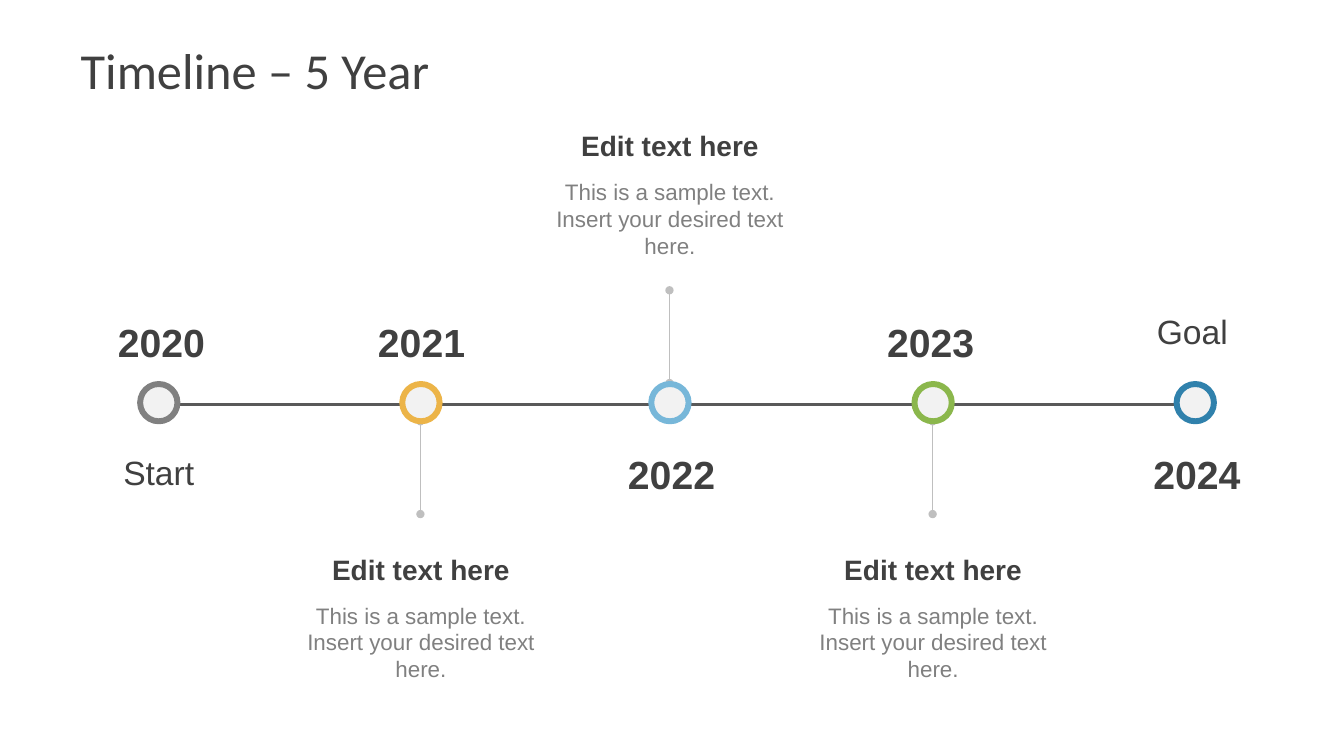
from lxml import etree
from pptx import Presentation
from pptx.dml.color import RGBColor
from pptx.enum.shapes import MSO_CONNECTOR, MSO_SHAPE
from pptx.enum.text import MSO_ANCHOR, PP_ALIGN
from pptx.oxml.ns import qn
from pptx.util import Pt

PX = 9144  # 100 px to the inch
STRAIGHT = MSO_CONNECTOR.STRAIGHT
OVAL = MSO_SHAPE.OVAL
MIDDLE = MSO_ANCHOR.MIDDLE
LEFT, CENTER = PP_ALIGN.LEFT, PP_ALIGN.CENTER

COLORS = {
    "dark": "404040", "axis": "595959", "muted": "808080",
    "stem": "BFBFBF", "marker": "F2F2F2",
    "gray": "808080", "orange": "ECB448", "sky": "77B7D9",
    "green": "8BB74C", "blue": "3081AC",
}
NOTE_HEADING = "Edit text here"
NOTE_BODY = "This is a sample text. Insert your desired text here."

AXIS_Y = 401
MARKER_TOP, MARKER_SIZE = 381, 37
YEAR_ABOVE, YEAR_BELOW = 311, 442
STEM_LENGTH = 92

# year, marker left, year left, year top, ring color
MILESTONES = [
    ("2020", 139, 106, YEAR_ABOVE, "gray"),
    ("2021", 399, 364, YEAR_ABOVE, "orange"),
    ("2022", 646, 612, YEAR_BELOW, "sky"),
    ("2023", 907, 869, YEAR_ABOVE, "green"),
    ("2024", 1167, 1133, YEAR_BELOW, "blue"),
]
# marker left, stem top, heading top
NOTES = [(399, 418, 543), (646, 288, 123), (907, 418, 543)]
# text, left, top, height
END_LABELS = [("Start", 84, 443, 46), ("Goal", 1109, 304, 50)]


def px(*lengths):
    return [length * PX for length in lengths]


def color(name):
    return RGBColor.from_string(COLORS[name])


def style_font(paragraph, size, color_name, bold=False, name="Arial"):
    font = paragraph.font
    font.name = name
    font.size = Pt(size)
    font.bold = bold
    font.color.rgb = color(color_name)


def set_title(slide, text):
    title = slide.shapes.title
    title.left, title.top, title.width, title.height = px(67, 30, 1200, 78)
    frame = title.text_frame
    frame.text = text
    frame.vertical_anchor = MIDDLE
    frame.margin_left, frame.margin_right = px(13, 13)
    frame.margin_top, frame.margin_bottom = px(7, 7)
    paragraph = frame.paragraphs[0]
    paragraph.alignment = LEFT
    style_font(paragraph, 36, "dark", name="Calibri")


def add_text(slide, text, box, size, color_name="dark", bold=False, wrap=True):
    frame = slide.shapes.add_textbox(*px(*box)).text_frame
    frame.word_wrap = wrap
    paragraph = frame.paragraphs[0]
    paragraph.text = text
    paragraph.alignment = CENTER
    style_font(paragraph, size, color_name, bold)


def add_line(slide, start, end, color_name, width, dotted_ends=False):
    """Draw a straight line, with a round dot at each end if asked."""
    connector = slide.shapes.add_connector(STRAIGHT, *px(*start, *end))
    connector.line.color.rgb = color(color_name)
    connector.line.width = Pt(width)
    if dotted_ends:
        line = connector.line._get_or_add_ln()
        for tag in ("a:headEnd", "a:tailEnd"):
            etree.SubElement(line, qn(tag), type="oval")
    etree.SubElement(connector._element.spPr, qn("a:effectLst"))


def add_marker(slide, left, ring):
    marker = slide.shapes.add_shape(
        OVAL, *px(left, MARKER_TOP, MARKER_SIZE, MARKER_SIZE))
    marker.shadow.inherit = False
    marker.fill.solid()
    marker.fill.fore_color.rgb = color("marker")
    marker.line.color.rgb = color(ring)
    marker.line.width = Pt(4.25)


def add_note(slide, marker_left, top):
    left = marker_left - 120
    add_text(slide, NOTE_HEADING, (left, top, 277, 44), 20, bold=True)
    add_text(slide, NOTE_BODY, (left, top + 49, 277, 91), 16, "muted")


def main():
    presentation = Presentation()
    presentation.slide_width, presentation.slide_height = px(1333, 750)
    slide = presentation.slides.add_slide(presentation.slide_layouts[5])
    set_title(slide, "Timeline – 5 Year")

    for marker_left, stem_top, heading_top in NOTES:
        stem_x = marker_left + MARKER_SIZE // 2
        add_line(slide, (stem_x, stem_top), (stem_x, stem_top + STEM_LENGTH),
                 "stem", 0.75, dotted_ends=True)
        add_note(slide, marker_left, heading_top)

    add_line(slide, (161, AXIS_Y), (1180, AXIS_Y), "axis", 2.25)
    for year, marker_left, year_left, year_top, ring in MILESTONES:
        add_marker(slide, marker_left, ring)
        add_text(slide, year, (year_left, year_top, 108, 57), 28,
                 bold=True, wrap=False)

    for text, left, top, height in END_LABELS:
        add_text(slide, text, (left, top, 147, height), 24)

    presentation.save("out.pptx")


if __name__ == "__main__":
    main()
